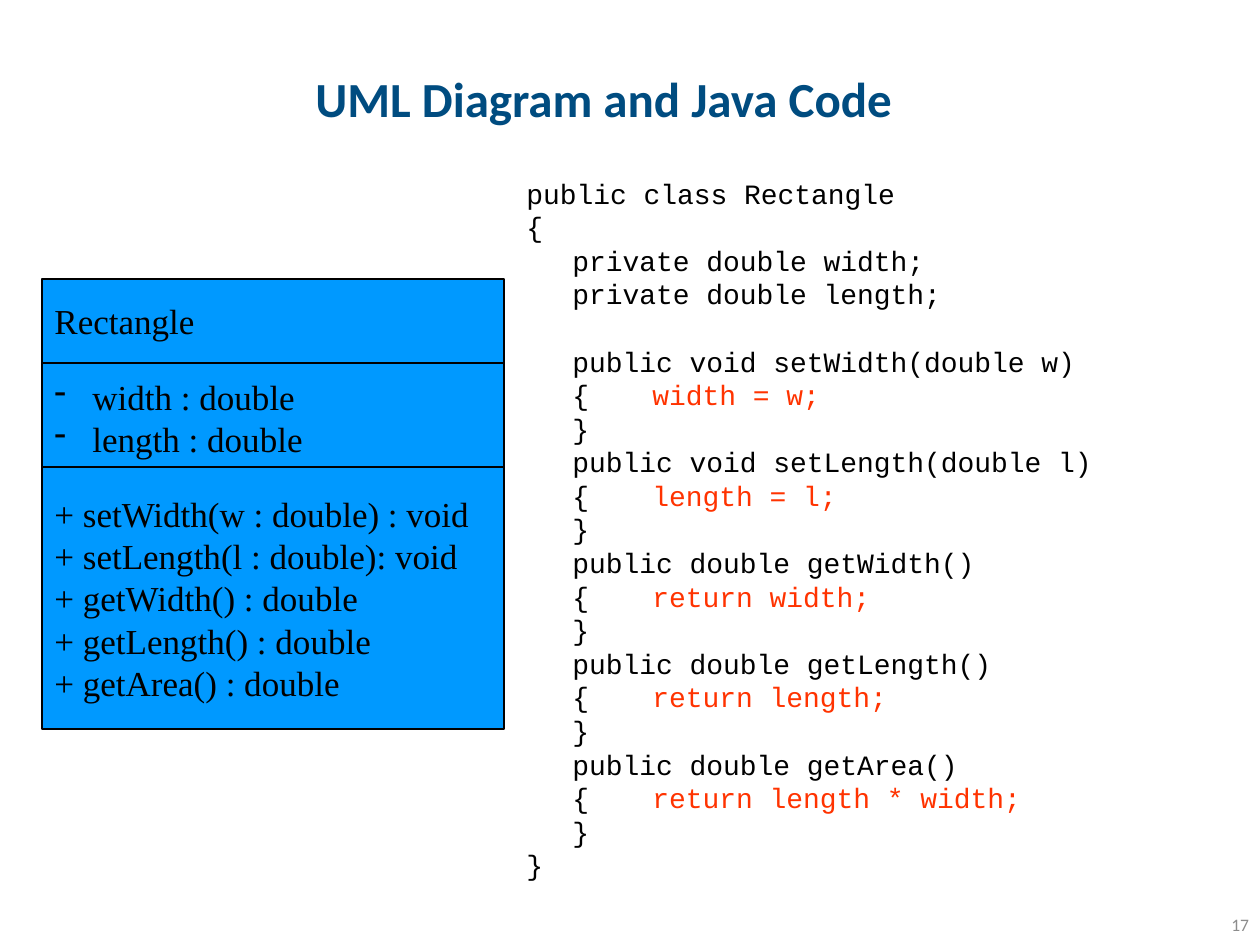
import pptx
import pptx.util
import pptx.dml.color
import pptx.enum.shapes
import pptx.enum.text
from lxml import etree

PX = 914400 / 126
ALIGN = pptx.enum.text.PP_ALIGN
ANCHOR = pptx.enum.text.MSO_ANCHOR

TITLE = "UML Diagram and Java Code"
PAGE = "17"
FIELDS = ["width", "length"]
METHODS = [  # signature, body
    ("void setWidth(double w)", "width = w;"),
    ("void setLength(double l)", "length = l;"),
    ("double getWidth()", "return width;"),
    ("double getLength()", "return length;"),
    ("double getArea()", "return length * width;"),
]
UML = [  # top, height, bullet, lines
    (279, 84, None, ["Rectangle"]),
    (363, 108, "-", [f"{name} : double" for name in FIELDS]),
    (467, 262, None, [
        "+ setWidth(w : double) : void",
        "+ setLength(l : double): void",
        "+ getWidth() : double",
        "+ getLength() : double",
        "+ getArea() : double",
    ]),
]
UML_LEFT, UML_WIDTH = 42, 462
BULLET_INDENT = 38
CODE_TABS = [46, 126]

TITLE_FONT = dict(name="Calibri", size=28, color="004C80", bold=True)
CODE_FONT = dict(name="Courier New", size=16, color="000000")
BODY_FONT = dict(CODE_FONT, color="FF3300")
UML_FONT = dict(name="Times New Roman", size=20, color="000000")
PAGE_FONT = dict(name="Calibri", size=10, color="8C8C8C")


def emu(px):
    return pptx.util.Emu(round(px * PX))


def rgb(value):
    return pptx.dml.color.RGBColor.from_string(value)


def add_run(p, text, font):
    r = p.add_run()
    r.text = text
    for key, value in font.items():
        if key == "color":
            r.font.color.rgb = rgb(value)
        else:
            setattr(r.font, key, pptx.util.Pt(value) if key == "size" else value)


def add_paragraphs(tf, lines):
    """Yield one paragraph with each line, starting with the existing one."""
    for i, line in enumerate(lines):
        yield (tf.add_paragraph() if i else tf.paragraphs[0]), line


def add_textbox(slide, *box):
    tf = slide.shapes.add_textbox(*map(emu, box)).text_frame
    tf.word_wrap = True
    return tf


def set_tabs(p, stops):
    ppr = p._p.get_or_add_pPr()
    tabs = etree.SubElement(ppr, pptx.oxml.ns.qn("a:tabLst"))
    for stop in stops:
        etree.SubElement(tabs, pptx.oxml.ns.qn("a:tab"), pos=str(emu(stop)), algn="l")


def set_bullet(p, char):
    ppr = p._p.get_or_add_pPr()
    ppr.set("marL", str(emu(BULLET_INDENT)))
    ppr.set("indent", str(-emu(BULLET_INDENT)))
    etree.SubElement(ppr, pptx.oxml.ns.qn("a:buChar"), char=char)


def code_lines():
    """List the program as (plain part, highlighted part) pairs."""
    lines = [("public class Rectangle", ""), ("{", "")]
    lines += [(f"\tprivate double {name};", "") for name in FIELDS]
    lines.append(("\t", ""))
    for signature, body in METHODS:
        lines += [(f"\tpublic {signature}", ""), ("\t{\t", body), ("\t}", "")]
    return lines + [("}", "")]


def add_uml_class(slide):
    group = slide.shapes.add_group_shape()
    for top, height, bullet, lines in UML:
        s = group.shapes.add_shape(
            pptx.enum.shapes.MSO_SHAPE.RECTANGLE,
            *map(emu, (UML_LEFT, top, UML_WIDTH, height)))
        s.shadow.inherit = False
        s.fill.solid()
        s.fill.fore_color.rgb = rgb("0099FF")
        s.line.color.rgb = rgb("000000")
        s.line.width = pptx.util.Pt(0.75)
        tf = s.text_frame
        tf.word_wrap = True
        tf.vertical_anchor = ANCHOR.MIDDLE
        for p, line in add_paragraphs(tf, lines):
            p.alignment = ALIGN.LEFT
            if bullet:
                set_bullet(p, bullet)
            add_run(p, line, UML_FONT)


def main():
    prs = pptx.Presentation()
    prs.slide_width, prs.slide_height = emu(1260), emu(945)
    slide = prs.slides.add_slide(prs.slide_layouts[5])

    title = slide.shapes.title
    title.left, title.top, title.width, title.height = map(emu, (63, 38, 1081, 120))
    title.text_frame.vertical_anchor = ANCHOR.MIDDLE
    p = title.text_frame.paragraphs[0]
    p.alignment = ALIGN.CENTER
    add_run(p, TITLE, TITLE_FONT)

    tf = add_textbox(slide, 514, 170, 662, 753)
    for p, (plain, body) in add_paragraphs(tf, code_lines()):
        set_tabs(p, CODE_TABS)
        add_run(p, plain, CODE_FONT)
        if body:
            add_run(p, body, BODY_FONT)

    add_uml_class(slide)

    tf = add_textbox(slide, 1113, 904, 136, 41)
    tf.vertical_anchor = ANCHOR.MIDDLE
    tf.margin_right = 0
    p = tf.paragraphs[0]
    p.alignment = ALIGN.RIGHT
    add_run(p, PAGE, PAGE_FONT)

    prs.save("out.pptx")


if __name__ == "__main__":
    main()
